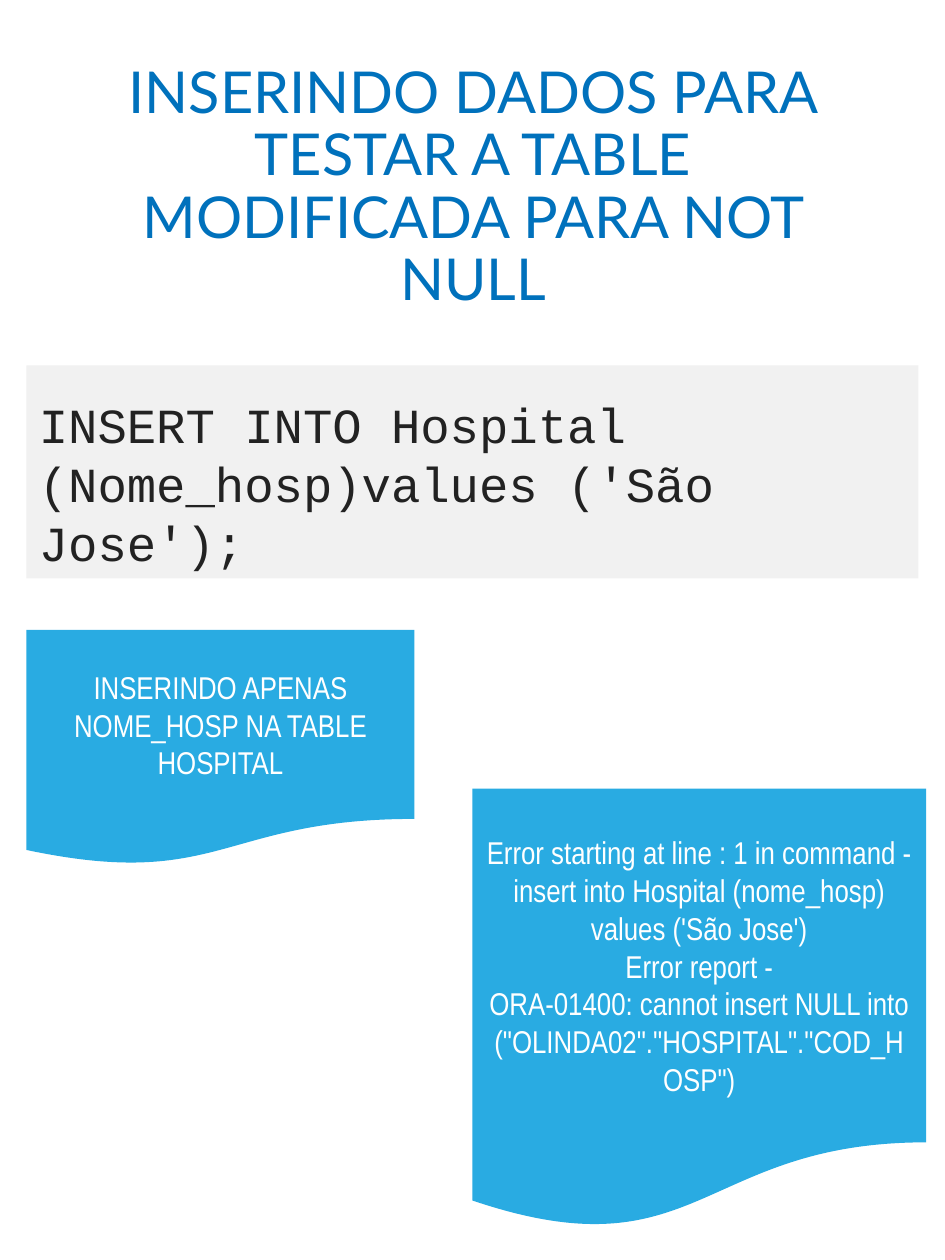
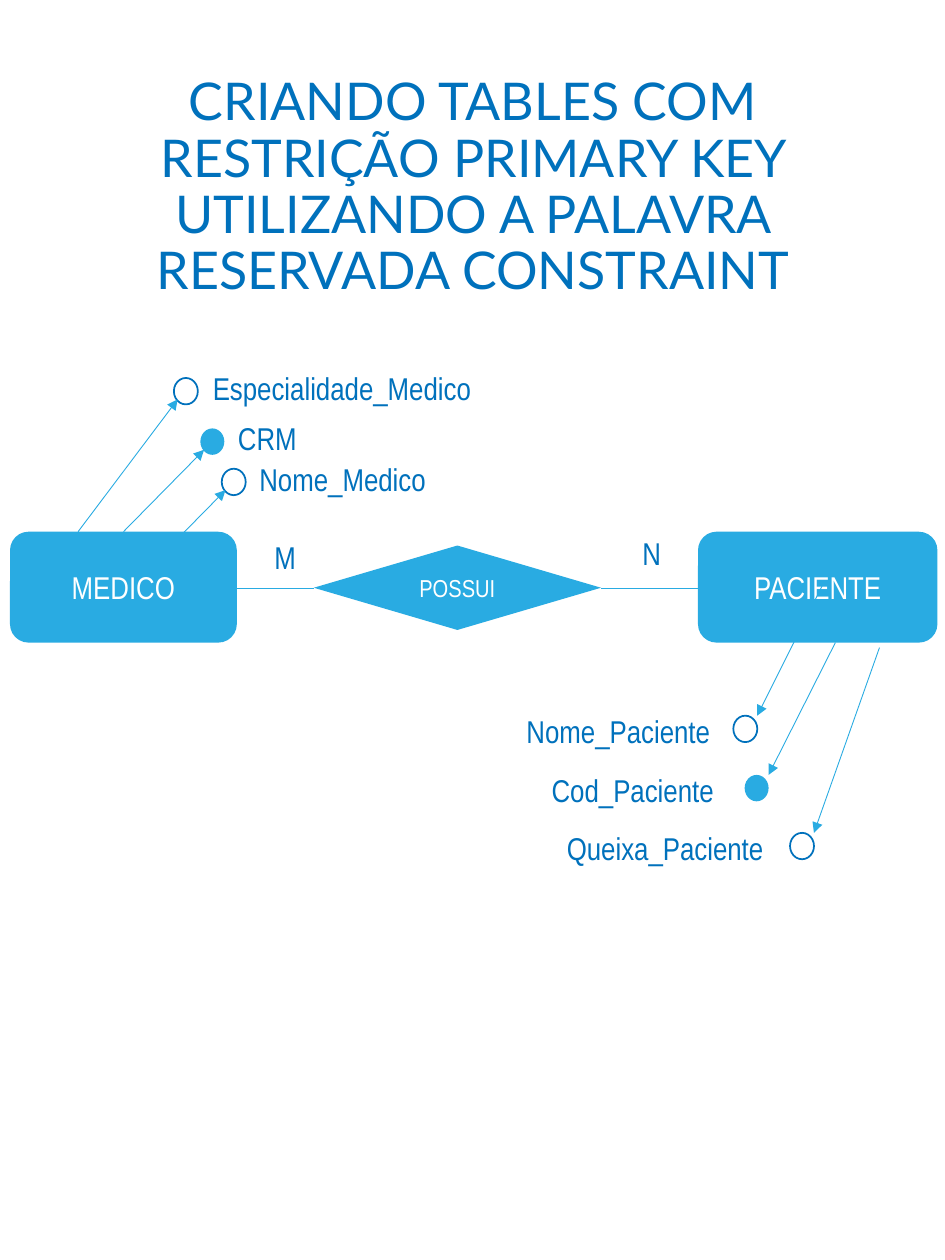
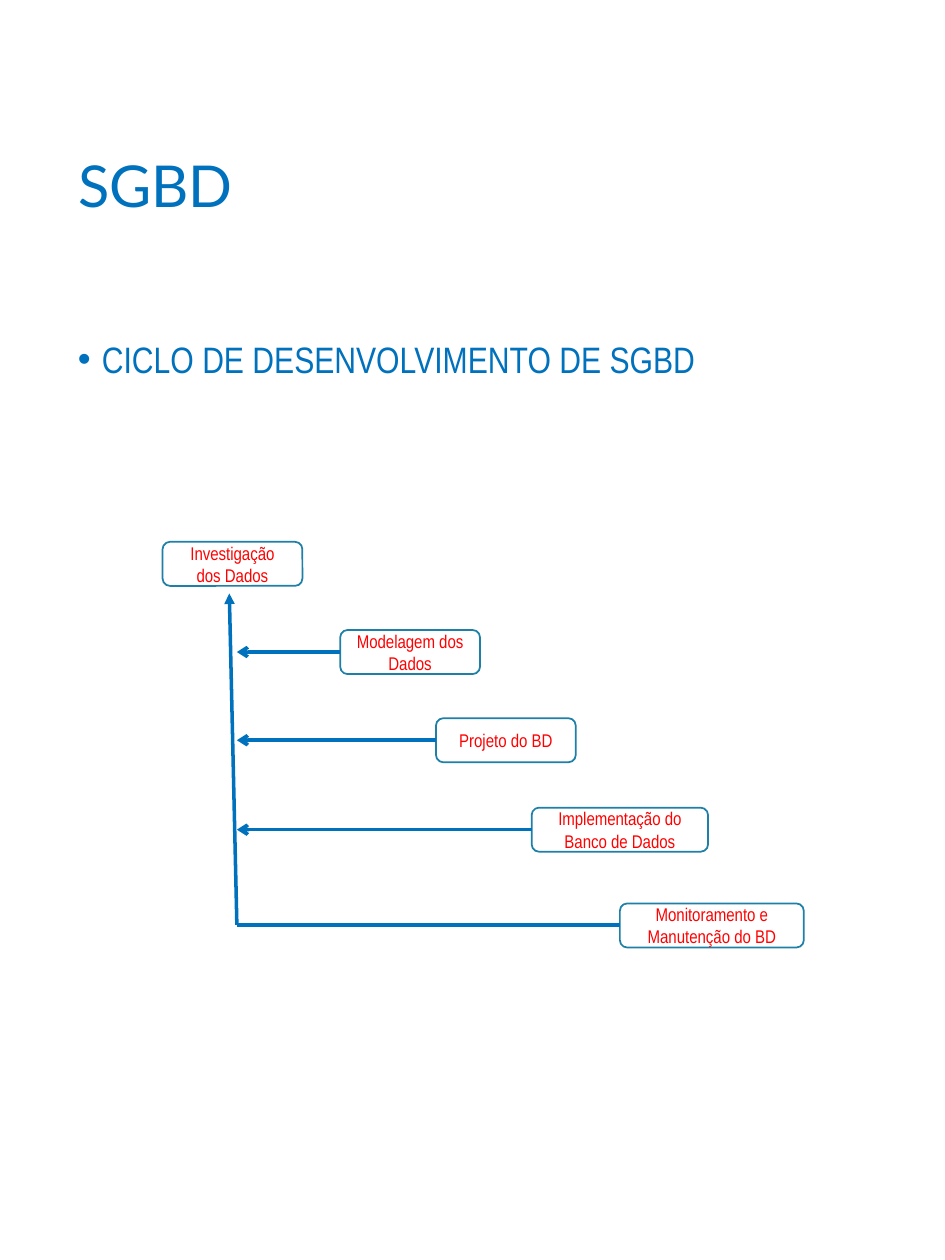
from dataclasses import dataclass
from typing import Optional

from lxml import etree
from pptx import Presentation
from pptx.dml.color import RGBColor
from pptx.enum import shapes, text
from pptx.oxml import ns
from pptx.util import Inches, Pt

BLUE = RGBColor(0x00, 0x71, 0xBC)
SKY = RGBColor(0x29, 0xAB, 0xE2)
TEAL = RGBColor(0x1E, 0x7F, 0xA7)
RED = RGBColor(0xFF, 0x00, 0x00)
WHITE = RGBColor(0xFF, 0xFF, 0xFF)
PALE_GRAY = RGBColor(0xF1, 0xF1, 0xF1)
INK = RGBColor(0x22, 0x22, 0x22)

TITLE_FONT, BODY_FONT, CODE_FONT = "Lato", "Arial Narrow", "Courier New"
TITLE_BOX = (0.52, 0.53, 6.47, 1.93)
TITLE_ONLY = 5
LABEL_HEIGHT = 0.4
MARK_WIDTH, MARK_HEIGHT = 0.19, 0.21
STAGE_HEIGHT = 0.35
SPINE_X = 1.88

Kind = shapes.MSO_SHAPE
Align = text.PP_ALIGN
Box = tuple[float, float, float, float]
Point = tuple[float, float]


@dataclass(frozen=True)
class TextStyle:
    size: float
    color: RGBColor = WHITE
    font: str = BODY_FONT
    align: Align = Align.CENTER


@dataclass(frozen=True)
class Block:
    kind: Kind
    box: Box
    words: tuple[str, ...] = ()
    style: TextStyle = TextStyle(18)
    fill: Optional[RGBColor] = SKY
    outline: Optional[RGBColor] = None


@dataclass(frozen=True)
class Attribute:
    """A circle with its name and the start of the arrow that reaches it."""
    name: str
    mark: Point
    label_left: float
    label_width: float
    start: Point
    is_key: bool = False


@dataclass(frozen=True)
class Entity:
    attributes: tuple[Attribute, ...]
    label_rise: float
    tip: Point


@dataclass(frozen=True)
class Stage:
    name: str
    left: float
    top: float
    width: float = 1.11
    has_arrow: bool = True


LABEL = TextStyle(18, BLUE, align=Align.LEFT)
STAGE_TEXT = TextStyle(10.5, RED)

INSERT_CODE = Block(
    Kind.RECTANGLE, (0.21, 2.9, 7.08, 1.69),
    ("INSERT INTO Hospital (Nome_hosp)values ('São Jose');",),
    TextStyle(28, INK, CODE_FONT, Align.LEFT), PALE_GRAY)
INSERT_NOTES = (
    Block(Kind.FLOWCHART_DOCUMENT, (0.21, 5, 3.08, 1.87),
          ("INSERINDO APENAS NOME_HOSP NA TABLE HOSPITAL",)),
    Block(Kind.FLOWCHART_DOCUMENT, (3.75, 6.26, 3.6, 3.5), (
        "Error starting at line : 1 in command -",
        "insert into Hospital (nome_hosp) values ('São Jose')",
        "Error report -",
        'ORA-01400: cannot insert NULL into ("OLINDA02"."HOSPITAL"."COD_HOSP")')),
)

RELATION = (
    Block(Kind.ROUNDED_RECTANGLE, (0.08, 4.22, 1.8, 0.88), ("MEDICO",)),
    Block(Kind.ROUNDED_RECTANGLE, (5.54, 4.22, 1.9, 0.88), ("PACIENTE",)),
    Block(Kind.DIAMOND, (2.49, 4.33, 2.28, 0.67), ("POSSUI",), TextStyle(14)),
)
MEDICO = Entity((
    Attribute("CRM", (1.59, 3.4), 1.79, 0.82, (0.98, 4.22), True),
    Attribute("Especialidade_Medico", (1.38, 3), 1.59, 2.45, (0.62, 4.22)),
    Attribute("Nome_Medico", (1.76, 3.72), 1.96, 1.59, (1.15, 4.54)),
), label_rise=0.12, tip=(0.03, 0.17))
PACIENTE = Entity((
    Attribute("Cod_Paciente", (5.91, 6.15), 4.28, 1.63, (6.63, 5.1), True),
    Attribute("Nome_Paciente", (5.82, 5.68), 4.08, 1.73, (6.54, 4.62)),
    Attribute("Queixa_Paciente", (6.27, 6.61), 4.4, 1.83, (6.98, 5.14)),
), label_rise=0.08, tip=(MARK_WIDTH, 0))

STAGES = (
    Stage("Investigação dos Dados", 1.29, 4.3, has_arrow=False),
    Stage("Modelagem dos Dados", 2.7, 5),
    Stage("Projeto do BD", 3.46, 5.7),
    Stage("Implementação do Banco de Dados", 4.22, 6.41, 1.4),
    Stage("Monitoramento e Manutenção do BD", 4.92, 7.17, 1.46, False),
)


def inches(values):
    return [Inches(value) for value in values]


def set_format(target, values: dict) -> None:
    for name, value in values.items():
        setattr(target, name, value)


def write(frame, words: tuple[str, ...], style: TextStyle) -> None:
    frame.word_wrap = True
    for index, line in enumerate(words):
        paragraph = frame.add_paragraph() if index else frame.paragraphs[0]
        paragraph.alignment = style.align
        run = paragraph.add_run()
        run.text = line
        set_format(run.font, {"size": Pt(style.size), "name": style.font})
        run.font.color.rgb = style.color


def add_titled_slide(deck, title: str, size: float, align: Align = Align.CENTER):
    slide = deck.slides.add_slide(deck.slide_layouts[TITLE_ONLY])
    heading = slide.shapes.title
    set_format(heading, dict(zip(("left", "top", "width", "height"),
                                 inches(TITLE_BOX))))
    frame = heading.text_frame
    set_format(frame, {"vertical_anchor": text.MSO_ANCHOR.MIDDLE,
                       "auto_size": text.MSO_AUTO_SIZE.NONE})
    write(frame, (title,), TextStyle(size, BLUE, TITLE_FONT, align))
    frame.paragraphs[0].line_spacing = 0.9
    return slide


def add_block(slide, block: Block):
    shape = slide.shapes.add_shape(block.kind, *inches(block.box))
    shape.shadow.inherit = False
    if block.fill is None:
        shape.fill.background()
    else:
        shape.fill.solid()
        shape.fill.fore_color.rgb = block.fill
    if block.outline is None:
        shape.line.fill.background()
    else:
        shape.line.color.rgb = block.outline
        shape.line.width = Pt(1)
    write(shape.text_frame, block.words, block.style)
    return shape


def add_label(slide, box: Box, words: str, style: TextStyle = LABEL):
    label = slide.shapes.add_textbox(*inches(box))
    write(label.text_frame, (words,), style)
    return label.text_frame.paragraphs[0]


def add_line(slide, start: Point, end: Point, color: RGBColor, width: float,
             arrow: Optional[str] = None) -> None:
    """Draw a straight line, with an arrowhead of the given type at its end."""
    line = slide.shapes.add_connector(shapes.MSO_CONNECTOR.STRAIGHT,
                                      *inches(start + end))
    line.line.color.rgb = color
    line.line.width = Pt(width)
    if arrow:
        etree.SubElement(line.line._get_or_add_ln(), ns.qn("a:tailEnd"), type=arrow)
    etree.SubElement(line._element.spPr, ns.qn("a:effectLst"))


def add_bullet(paragraph, indent: float) -> None:
    properties = paragraph._p.get_or_add_pPr()
    properties.set("marL", str(Inches(indent)))
    properties.set("indent", str(-Inches(indent)))
    etree.SubElement(properties, ns.qn("a:buFont"), typeface="Arial")
    etree.SubElement(properties, ns.qn("a:buChar"), char="•")


def add_entity_attributes(slide, entity: Entity) -> None:
    for attribute in entity.attributes:
        x, y = attribute.mark
        add_block(slide, Block(
            Kind.OVAL, (x, y, MARK_WIDTH, MARK_HEIGHT),
            fill=SKY if attribute.is_key else None,
            outline=None if attribute.is_key else BLUE))
        add_label(slide, (attribute.label_left, y - entity.label_rise,
                          attribute.label_width, LABEL_HEIGHT), attribute.name)
        tip_x, tip_y = entity.tip
        add_line(slide, attribute.start, (x + tip_x, y + tip_y), SKY, 0.5, "triangle")


def build_insert_slide(deck) -> None:
    slide = add_titled_slide(
        deck, "INSERINDO DADOS PARA TESTAR A TABLE MODIFICADA PARA NOT NULL", 33)
    code = add_block(slide, INSERT_CODE)
    code.text_frame.margin_top = Inches(0.22)
    for note in INSERT_NOTES:
        add_block(slide, note)


def build_primary_key_slide(deck) -> None:
    slide = add_titled_slide(
        deck, "CRIANDO TABLES COM RESTRIÇÃO PRIMARY KEY UTILIZANDO A PALAVRA "
        "RESERVADA CONSTRAINT", 29.7)
    for block in RELATION:
        add_block(slide, block)
    for left, right in ((1.88, 2.49), (4.77, 5.54)):
        add_line(slide, (left, 4.67), (right, 4.67), SKY, 0.5)
    for cardinality, left, top in (("M", 2.08, 4.22), ("N", 5, 4.19)):
        add_label(slide, (left, top, 0.63, LABEL_HEIGHT), cardinality)
    for entity in (MEDICO, PACIENTE):
        add_entity_attributes(slide, entity)


def build_cycle_slide(deck) -> None:
    slide = add_titled_slide(deck, "SGBD", 33, Align.LEFT)
    topic = add_label(slide, (0.52, 2.66, 6.47, 0.6),
                      "CICLO DE DESENVOLVIMENTO DE SGBD",
                      TextStyle(21, BLUE, align=Align.JUSTIFY))
    set_format(topic, {"line_spacing": 0.9, "space_before": Pt(7.5)})
    add_bullet(topic, 0.19)

    for stage in STAGES:
        add_block(slide, Block(
            Kind.ROUNDED_RECTANGLE,
            (stage.left, stage.top, stage.width, STAGE_HEIGHT),
            (stage.name,), STAGE_TEXT, fill=None, outline=TEAL))
        if stage.has_arrow:
            middle = stage.top + STAGE_HEIGHT / 2
            add_line(slide, (stage.left, middle), (SPINE_X, middle), BLUE, 2, "arrow")
    corner = (SPINE_X, 7.34)
    add_line(slide, corner, (1.82, 4.71), BLUE, 2, "triangle")
    add_line(slide, corner, (STAGES[-1].left, 7.34), BLUE, 2)


def main() -> None:
    deck = Presentation()
    set_format(deck, {"slide_width": Inches(7.5), "slide_height": Inches(10)})
    build_insert_slide(deck)
    build_primary_key_slide(deck)
    build_cycle_slide(deck)
    deck.save("out.pptx")


if __name__ == "__main__":
    main()
